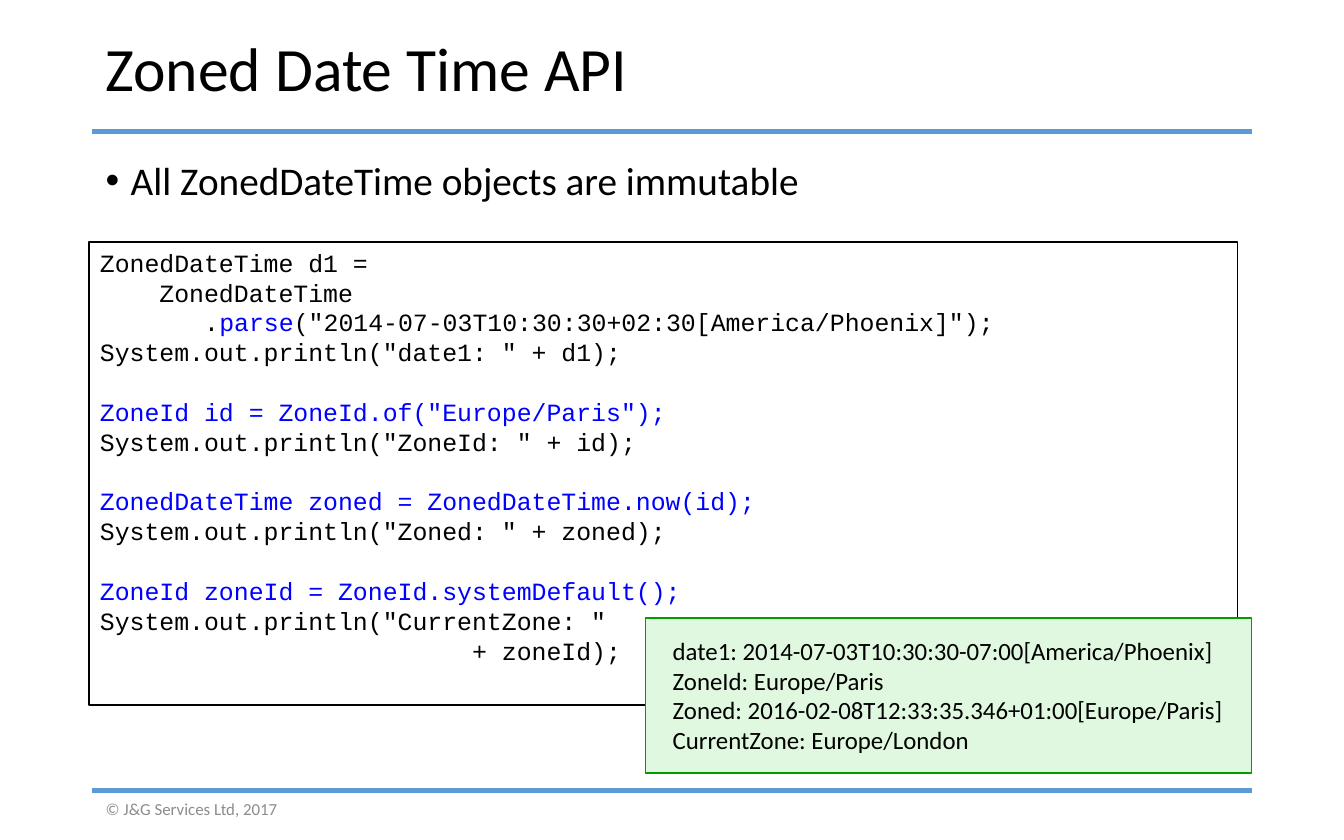
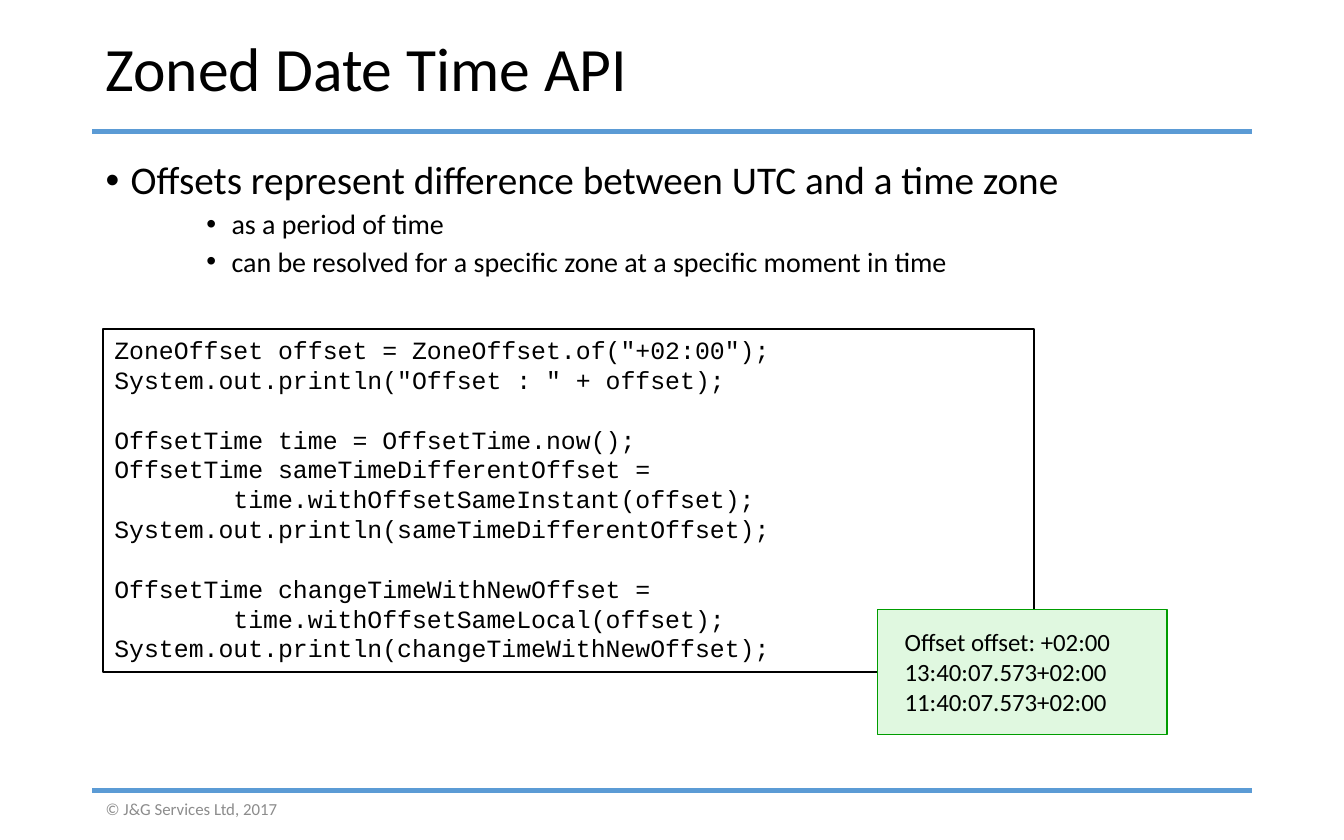
from dataclasses import dataclass

from pptx import Presentation
from pptx import util as u
from pptx.dml.color import RGBColor
from pptx.enum import shapes, text
from pptx.oxml.ns import qn
from lxml import etree

Pt = u.Pt

INK = {
    "black": "000000",
    "white": "FFFFFF",
    "gray": "8C8C8C",
    "rule": "5B9BD5",
    "key": "0000FF",
    "mint": "E0F8E0",
    "green": "009D00",
}
LEFT, WIDE = 49.5, 621
STEP = 16
BODY = "Calibri"
MONO = "Courier New"


@dataclass(frozen=True)
class Box:
    x: float
    y: float
    w: float
    h: float


@dataclass(frozen=True)
class Style:
    fill: str
    edge: str
    line: float
    face: str
    pads: tuple[float, float, float, float]


@dataclass(frozen=True)
class Panel:
    box: Box
    style: Style
    groups: list[list[str]]


@dataclass(frozen=True)
class Page:
    title: str
    points: list[tuple[int, str]]
    panels: list[Panel]


CODE = Style("white", "black", 1, MONO, (6, 3, 6, 3))
PRINT = Style("mint", "green", 0.75, BODY, (14.4, 9.4, 7.2, 9.4))

PAGES = [
    Page(
        "Zoned Date Time API",
        [(0, "All ZonedDateTime objects are immutable")],
        [
            Panel(Box(47.5, 129.5, 615.5, 248.4), CODE, [
                [
                    "ZonedDateTime d1 =",
                    "    ZonedDateTime",
                    '       .~parse~("2014-07-03T10:30:30+02:30[America/Phoenix]");',
                    'System.out.println("date1: " + d1);',
                ],
                [
                    '~ZoneId id = ZoneId.of("Europe/Paris");',
                    'System.out.println("ZoneId: " + id);',
                ],
                [
                    "~ZonedDateTime zoned = ZonedDateTime.now(id);",
                    'System.out.println("Zoned: " + zoned);',
                ],
                [
                    "~ZoneId zoneId = ZoneId.systemDefault();",
                    'System.out.println("CurrentZone: "',
                    "                         + zoneId);",
                ],
            ]),
            Panel(Box(346, 331, 324.5, 83.2), PRINT, [[
                "date1: 2014-07-03T10:30:30-07:00[America/Phoenix]",
                "ZoneId: Europe/Paris",
                "Zoned: 2016-02-08T12:33:35.346+01:00[Europe/Paris]",
                "CurrentZone: Europe/London",
            ]]),
        ],
    ),
    Page(
        "Zoned Date Time API",
        [
            (0, "Offsets represent difference between UTC and a time zone"),
            (1, "as a period of time"),
            (1, "can be resolved for a specific zone at a specific moment in time"),
        ],
        [
            Panel(Box(55.25, 176.25, 498.75, 183.6), CODE, [
                [
                    'ZoneOffset offset = ZoneOffset.of("+02:00");',
                    'System.out.println("Offset : " + offset);',
                ],
                [
                    "OffsetTime time = OffsetTime.now();",
                    "OffsetTime sameTimeDifferentOffset =",
                    "        time.withOffsetSameInstant(offset);",
                    "System.out.println(sameTimeDifferentOffset);",
                ],
                [
                    "OffsetTime changeTimeWithNewOffset =",
                    "        time.withOffsetSameLocal(offset);",
                    "System.out.println(changeTimeWithNewOffset);",
                ],
            ]),
            Panel(Box(470.25, 326.5, 155, 67), PRINT, [[
                "Offset offset: +02:00",
                "13:40:07.573+02:00",
                "11:40:07.573+02:00",
            ]]),
        ],
    ),
]


def tint(name: str) -> RGBColor:
    return RGBColor.from_string(INK[name])


def place(box: Box) -> tuple:
    return Pt(box.x), Pt(box.y), Pt(box.w), Pt(box.h)


def write(frame, words: str, *, size: float, face: str = BODY,
          ink: str = "black", first: bool = True, lead=None,
          gap: float = 0, level: int | None = None) -> None:
    para = frame.paragraphs[0] if first else frame.add_paragraph()
    para.alignment = text.PP_ALIGN.LEFT
    if level is not None:
        para.level = level
        props = para._p.get_or_add_pPr()
        props.set("marL", str(Pt(13.5 + 54 * level)))
        props.set("indent", str(Pt(-13.5)))
        font = etree.SubElement(props, qn("a:buFont"))
        font.set("typeface", "Arial")
        etree.SubElement(props, qn("a:buChar")).set("char", "•")
    if lead:
        para.line_spacing = lead
    if gap and not first:
        para.space_before = Pt(gap)
    for turn, part in enumerate(words.split("~")):
        if part:
            run = para.add_run()
            run.text = part
            run.font.size = Pt(size)
            run.font.name = face
            run.font.color.rgb = tint("key" if turn % 2 else ink)


def add_box(slide, box: Box, mid: bool = False):
    frame = slide.shapes.add_textbox(*place(box)).text_frame
    frame.word_wrap = True
    anchor = text.MSO_ANCHOR
    frame.vertical_anchor = anchor.MIDDLE if mid else anchor.TOP
    return frame


def add_rule(slide, y: float) -> None:
    rule = slide.shapes.add_connector(
        shapes.MSO_CONNECTOR.STRAIGHT, Pt(LEFT), Pt(y), Pt(LEFT + WIDE), Pt(y))
    rule.line.color.rgb = tint("rule")
    rule.line.width = Pt(3)
    etree.SubElement(rule._element.spPr, qn("a:effectLst"))


def add_panel(slide, panel: Panel) -> None:
    style = panel.style
    shape = slide.shapes.add_shape(
        shapes.MSO_SHAPE.RECTANGLE, *place(panel.box))
    shape.shadow.inherit = False
    shape.fill.solid()
    shape.fill.fore_color.rgb = tint(style.fill)
    shape.line.color.rgb = tint(style.edge)
    shape.line.width = Pt(style.line)
    frame = shape.text_frame
    frame.word_wrap = True
    frame.vertical_anchor = text.MSO_ANCHOR.TOP
    frame.margin_left, frame.margin_top, frame.margin_right, \
        frame.margin_bottom = map(Pt, style.pads)
    for block, lines in enumerate(panel.groups):
        for row, line in enumerate(lines):
            write(frame, line, size=13.3, face=style.face,
                  first=block == row == 0, lead=Pt(STEP),
                  gap=0 if row else STEP)


def add_page(deck, page: Page) -> None:
    slide = deck.slides.add_slide(deck.slide_layouts[6])
    for y in (70.5, 423.5):
        add_rule(slide, y)
    write(add_box(slide, Box(LEFT, 425.5, 162, 15), True),
          "© J&G Services Ltd, 2017", size=9, ink="gray")
    write(add_box(slide, Box(LEFT, 13, WIDE, 50.5), True),
          page.title, size=33, lead=0.9)
    frame = add_box(slide, Box(LEFT, 82.8, WIDE, 35 * len(page.points)))
    for row, (level, words) in enumerate(page.points):
        write(frame, words, size=15 if level else 21, first=row == 0,
              lead=0.9, gap=3.8 if level else 7.5, level=level)
    for panel in page.panels:
        add_panel(slide, panel)


def main() -> None:
    deck = Presentation()
    deck.slide_width, deck.slide_height = Pt(720), Pt(450)
    for page in PAGES:
        add_page(deck, page)
    deck.save("out.pptx")


if __name__ == "__main__":
    main()
